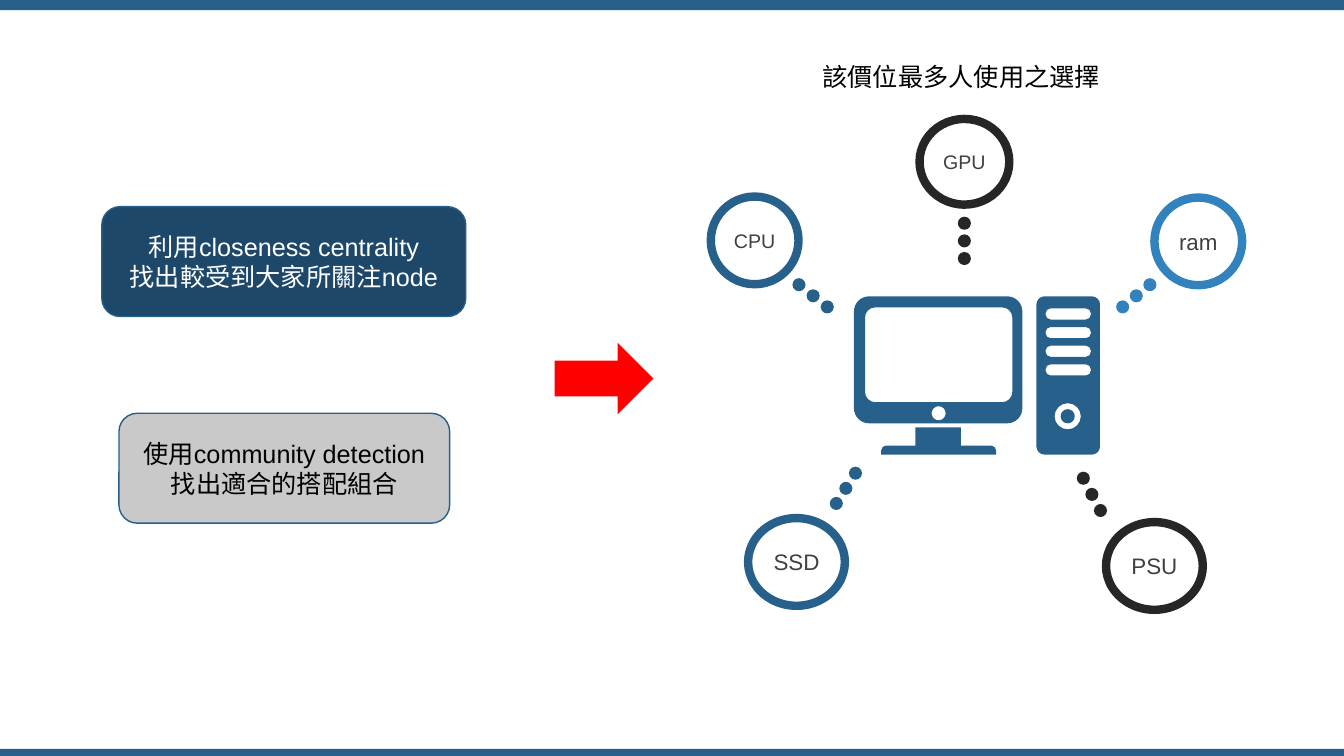
from math import cos, radians, sin

from pptx import Presentation
from pptx.dml.color import RGBColor
from pptx.enum.shapes import MSO_SHAPE
from pptx.enum.text import MSO_ANCHOR, MSO_AUTO_SIZE, PP_ALIGN
from pptx.oxml.ns import qn
from pptx.util import Inches, Pt

BLUE, LIGHT, DARK = "28608C", "3282BE", "262626"
DOT = 0.13
BEND = 0.55  # handle length of a quarter circle, in radii

# label, ring box, text size, first dot, last dot, colour
PARTS = [
    ("CPU", (7.05, 1.95, 0.87, 0.87), 14, (8.14, 2.98), (7.86, 2.76), BLUE),
    ("GPU", (9.12, 1.18, 0.89, 0.85), 14, (9.5, 2.5), (9.5, 2.15), DARK),
    ("ram", (11.45, 1.96, 0.87, 0.87), 16, (11.07, 2.98), (11.34, 2.76), LIGHT),
    ("SSD", (7.42, 5.14, 0.96, 0.87), 16, (8.23, 4.93), (8.42, 4.63), BLUE),
    ("PSU", (10.97, 5.18, 0.96, 0.87), 16, (10.85, 5), (10.68, 4.68), DARK),
]


def paint(target, color):
    """Give a fill or font a solid colour from a hex string."""
    if hasattr(target, "solid"):
        target.solid()
        target.fore_color.rgb = RGBColor.from_string(color)
    else:
        target.color.rgb = RGBColor.from_string(color)


def style(shape, fill=None, line=None, width=1):
    """Set fill and outline, and drop the shadow."""
    shape.shadow.inherit = False
    if fill:
        paint(shape.fill, fill)
    else:
        shape.fill.background()
    if line:
        paint(shape.line.fill, line)
        shape.line.width = Pt(width)
    else:
        shape.line.fill.background()


def add_form(parent, kind, box, **look):
    """Add a preset shape in a box given in inches."""
    shape = parent.shapes.add_shape(kind, *map(Inches, box))
    style(shape, **look)
    return shape


def write(shape, text, size=18, color="000000", align=PP_ALIGN.CENTER):
    """Write text, one paragraph a line, in the given format."""
    frame = shape.text_frame
    frame.text = text
    for para in frame.paragraphs:
        para.alignment = align
        for run in para.runs:
            run.font.name = "Arial"
            run.font.size = Pt(size)
            paint(run.font, color)


def add_label(slide, kind, box, text, size, color, **look):
    """Add a shape with centred text."""
    shape = add_form(slide, kind, box, **look)
    frame = shape.text_frame
    frame.margin_left = frame.margin_right = 0
    frame.vertical_anchor = MSO_ANCHOR.MIDDLE
    write(shape, text, size=size, color=color)


def add_trail(slide, first, last, color):
    """Add a group of three evenly spaced dots from first to last."""
    group = slide.shapes.add_group_shape()
    for step in (0, 0.5, 1):
        left, top = (a + (b - a) * step for a, b in zip(first, last))
        add_form(group, MSO_SHAPE.OVAL, (left, top, DOT, DOT), fill=color)


def arc(x, y, radius, start):
    """Return a clockwise quarter circle: its start and three curve points."""
    c, s = cos(radians(start)), sin(radians(start))
    steps = [(1, 0), (1, BEND), (BEND, 1), (0, 1)]
    return [(x + radius * (a * c - b * s), y + radius * (a * s + b * c), i > 0)
            for i, (a, b) in enumerate(steps)]


def round_box(left, top, right, bottom, radius):
    """Return the outline of a rounded box."""
    west, east = left + radius, right - radius
    north, south = top + radius, bottom - radius
    return (arc(west, north, radius, 180) + arc(east, north, radius, 270)
            + arc(east, south, radius, 0) + arc(west, south, radius, 90))


def disc(x, y, radius):
    """Return the outline of a circle."""
    turns = [arc(x, y, radius, start) for start in (180, 270, 0, 90)]
    return turns[0][:1] + [point for turn in turns for point in turn[1:]]


def corners(*points):
    """Return points joined by straight lines."""
    return [(x, y, False) for x, y in points]


def curve(shape, bends):
    """Turn each three marked line ends into one curve."""
    lines = list(shape.element.iter(qn("a:lnTo")))
    marked = [line for line, bend in zip(lines, bends) if bend]
    for first, *others in zip(marked[::3], marked[1::3], marked[2::3]):
        first.tag = qn("a:cubicBezTo")
        for line in others:
            first.append(line[0])
            line.getparent().remove(line)


def add_desktop(slide):
    """Draw the monitor and tower as one outline with holes."""
    stand = (corners((9.08, 4.24), (9.53, 4.24), (9.53, 4.42))
             + arc(9.83, 4.47, 0.05, 270) + corners((9.88, 4.51), (8.74, 4.51))
             + arc(8.79, 4.47, 0.05, 180) + corners((9.08, 4.42)))
    monitor = [round_box(8.47, 2.94, 10.14, 4.2, 0.15),
               round_box(8.58, 3.05, 10.04, 3.99, 0.1),
               disc(9.31, 4.1, 0.07)]
    tower = [round_box(10.28, 2.94, 10.91, 4.51, 0.08),
             disc(10.59, 4.13, 0.13), disc(10.59, 4.13, 0.07)]
    tops = [3.06 + 0.185 * row for row in range(4)]
    slots = [round_box(10.37, top, 10.82, top + 0.11, 0.05) for top in tops]

    pen, bends = None, []
    for outline in [stand] + monitor + tower + slots:
        points = [(Inches(x), Inches(y)) for x, y, bend in outline]
        bends += [bend for x, y, bend in outline[1:]]
        if pen is None:
            pen = slide.shapes.build_freeform(*points[0])
        else:
            pen.move_to(*points[0])
        pen.add_line_segments(points[1:], close=True)
    shape = pen.convert_to_shape()
    curve(shape, bends)
    style(shape, fill=BLUE)


def add_title(slide, box, text):
    """Add the heading over the diagram."""
    title = slide.shapes.add_textbox(*map(Inches, box))
    write(title, text, align=PP_ALIGN.LEFT)
    title.text_frame.word_wrap = False
    title.text_frame.auto_size = MSO_AUTO_SIZE.SHAPE_TO_FIT_TEXT


def main():
    """Build the slide and save it."""
    deck = Presentation()
    deck.slide_width, deck.slide_height = Inches(13.33), Inches(7.5)
    slide = deck.slides.add_slide(deck.slide_layouts[6])

    for top, height in ((0, 0.1), (7.43, 0.07)):
        add_form(slide, MSO_SHAPE.RECTANGLE, (0, top, 13.33, height), fill=BLUE)
    add_form(slide, MSO_SHAPE.RIGHT_ARROW, (5.5, 3.4, 0.98, 0.71), fill="FF0000")

    methods = [
        ((1.01, 2.05, 3.61, 1.09), "利用closeness centrality\n找出較受到大家所關注node",
         "1E4869", "FFFFFF"),
        ((1.18, 4.1, 3.28, 1.09), "使用community detection\n找出適合的搭配組合",
         "C9C9C9", "000000"),
    ]
    for box, text, fill, color in methods:
        add_label(slide, MSO_SHAPE.ROUNDED_RECTANGLE, box, text, 18, color,
                  fill=fill, line="25608D")

    for name, box, size, first, last, color in PARTS:
        add_label(slide, MSO_SHAPE.OVAL, box, name, size, "404040",
                  line=color, width=6)
        add_trail(slide, first, last, color)

    add_desktop(slide)
    add_title(slide, (8.06, 0.56, 2.98, 0.4), "該價位最多人使用之選擇")
    deck.save("out.pptx")


main()
